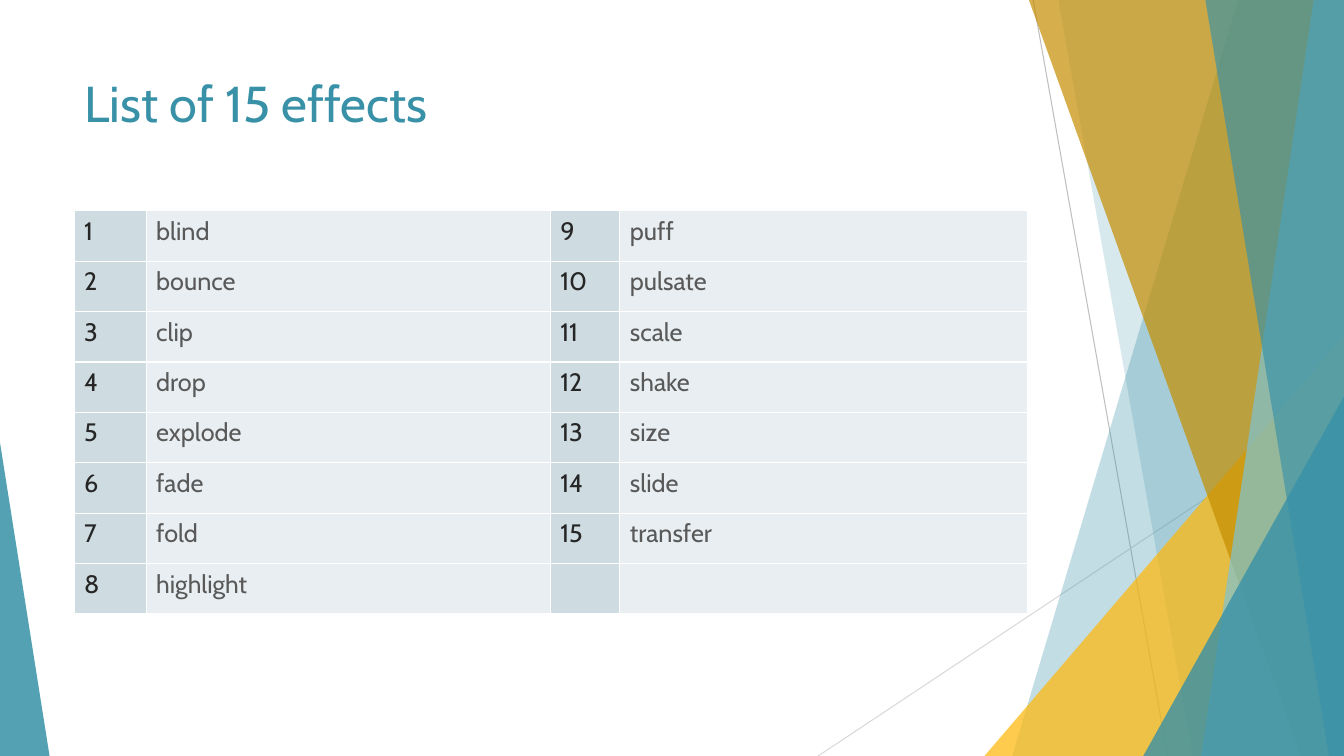
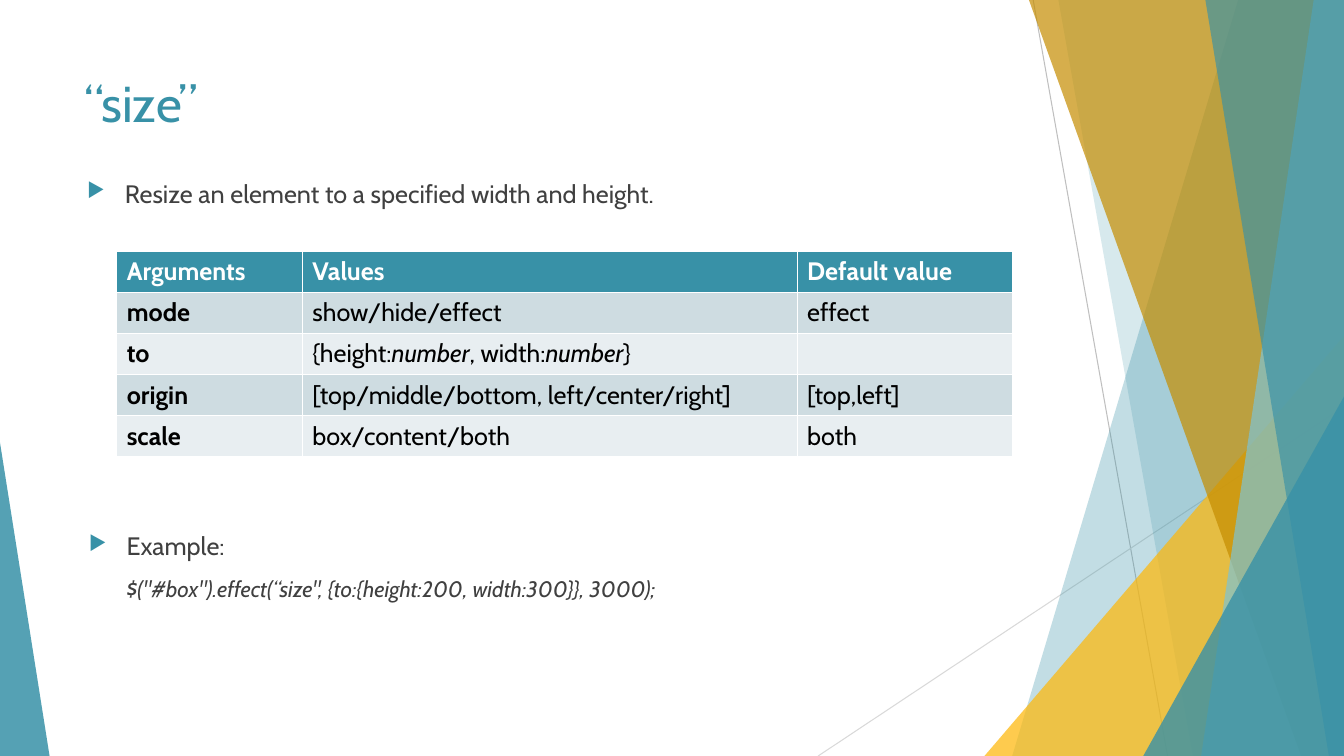
from lxml import etree
from pptx import Presentation, util as u
from pptx.dml.color import RGBColor
from pptx.enum import shapes
from pptx.oxml.ns import qn

# Grid of 1600 columns by 900 rows with square cells
CELL = u.Emu(7620)
COLS, ROWS = 1600, 900
TEAL, SKY, AMBER, OCHRE = "3891A7", "7EC3D4", "FEB80A", "C58D01"
WHITE, BLACK, BODY = "FFFFFF", "000000", "404040"
TINT, PALE = "CEDCE1", "E8EEF1"


def paint(fill, color):
    fill.solid()
    fill.fore_color.rgb = RGBColor.from_string(color)


def write(paragraph, content, size=18, color=BODY, bold=False, italic=False):
    run = paragraph.add_run()
    run.text = content
    run.font.name = "Cabin"
    run.font.size = u.Pt(size)
    run.font.bold = bold
    run.font.italic = italic
    paint(run.font.fill, color)


deck = Presentation()
deck.slide_width, deck.slide_height = COLS * CELL, ROWS * CELL

# Shared backdrop: rays (start, end, colour) and facets (outline, colour, opacity)
# A two-number facet runs from its top corner to its bottom corner on the right edge;
# a four-number facet is a triangle: left, top, width, apex position
rays = [((1230, 0), (1390, ROWS), "BFBFBF"), ((COLS, 484), (974, ROWS), "D9D9D9")]
facets = [
    ((1474, 1205), TEAL, 30),
    ((1260, 1420), TEAL, 20),
    ((1172, 400, 428, 1), AMBER, 72),
    ((1225, 1549), OCHRE, 70),
    ((1564, 1430), SKY, 70),
    ((1435, 1582), TEAL, 65),
    ((1361, 472, 239, 1), TEAL, 80),
    ((0, 527, 59, 0), TEAL, 85),
]

pages = []
for title in ("List of 15 effects", "“size”"):
    page = deck.slides.add_slide(deck.slide_layouts[6])
    pages.append(page)
    for start, end, color in rays:
        ray = page.shapes.add_connector(
            shapes.MSO_CONNECTOR.STRAIGHT, *(n * CELL for n in start + end))
        ray.line.width = u.Pt(0.75)
        paint(ray.line.fill, color)
        etree.SubElement(ray._element.spPr, qn("a:effectLst"))
    for outline, color, opacity in facets:
        if len(outline) == 2:
            top, bottom = outline
            builder = page.shapes.build_freeform(top, 0, scale=CELL)
            builder.add_line_segments([(COLS, 0), (COLS, ROWS), (bottom, ROWS)])
            facet = builder.convert_to_shape()
        else:
            left, top, width, apex = outline
            facet = page.shapes.add_shape(
                shapes.MSO_SHAPE.ISOSCELES_TRIANGLE,
                left * CELL, top * CELL, width * CELL, (ROWS - top) * CELL)
            facet.adjustments[0] = apex
        facet.shadow.inherit = False
        facet.line.fill.background()
        paint(facet.fill, color)
        tone = facet._element.spPr.find(".//" + qn("a:srgbClr"))
        etree.SubElement(tone, qn("a:alpha"), val=str(opacity * 1000))
    heading = page.shapes.add_textbox(89 * CELL, 80 * CELL, 1128 * CELL, 173 * CELL)
    heading.text_frame.word_wrap = True
    write(heading.text_frame.paragraphs[0], title, size=36, color=TEAL)

# Contents of both tables
effects = ["blind", "bounce", "clip", "drop", "explode", "fade", "fold", "highlight",
           "puff", "pulsate", "scale", "shake", "size", "slide", "transfer"]
half = 8
numbered = [(str(n), name) for n, name in enumerate(effects, 1)] + [("", "")]
effect_rows = [numbered[r] + numbered[r + half] for r in range(half)]
# Asterisks enclose the italic words
argument_rows = [
    ("Arguments", "Values", "Default value"),
    ("mode", "show/hide/effect", "effect"),
    ("to", "{height:*number*, width:*number*}", ""),
    ("origin", "[top/middle/bottom, left/center/right]", "[top,left]"),
    ("scale", "box/content/both", "both"),
]

# Page, rows, left, top, column widths, row height, header row
tables = [
    (pages[0], effect_rows, 88, 251, (86, 481, 83, 485), 60, False),
    (pages[1], argument_rows, 139, 299, (221, 589, 257), 49, True),
]
for page, rows, left, top, widths, height, has_header in tables:
    grid = page.shapes.add_table(
        len(rows), len(widths), left * CELL, top * CELL,
        sum(widths) * CELL, len(rows) * height * CELL).table
    grid.first_row, grid.horz_banding = has_header, False
    for column, width in zip(grid.columns, widths):
        column.width = width * CELL
    for r, row in enumerate(rows):
        grid.rows[r].height = height * CELL
        for c, entry in enumerate(row):
            if not has_header:
                fill, ink = ((TINT, "262626"), (PALE, "595959"))[c % 2]
            elif r == 0:
                fill, ink = TEAL, WHITE
            else:
                fill, ink = (PALE, TINT)[r % 2], BLACK
            cell = grid.cell(r, c)
            paint(cell.fill, fill)
            for n, part in enumerate(entry.split("*")):
                if part:
                    write(cell.text_frame.paragraphs[0], part, color=ink,
                          bold=has_header and 0 in (r, c), italic=n % 2 == 1)

# Bulleted description and example around the argument table
indent = 45 * CELL
notes = [
    (92, 206, 60, "Resize an element to a specified width and height.", None),
    (94, 626, 120, "Example:",
     '$("#box").effect(“size", {to:{height:200, width:300}}, 3000);'),
]
for left, top, height, point, code in notes:
    note = pages[1].shapes.add_textbox(
        left * CELL, top * CELL, 1128 * CELL, height * CELL).text_frame
    note.word_wrap = True
    bullet_line = note.paragraphs[0]
    props = bullet_line._p.get_or_add_pPr()
    props.set("marL", str(indent))
    props.set("indent", str(-indent))
    bullet_color = etree.SubElement(props, qn("a:buClr"))
    etree.SubElement(bullet_color, qn("a:srgbClr"), val=TEAL)
    etree.SubElement(props, qn("a:buSzPct"), val="80000")
    etree.SubElement(props, qn("a:buChar"), char="▶")
    write(bullet_line, point)
    if code:
        code_line = note.add_paragraph()
        code_line._p.get_or_add_pPr().set("marL", str(indent))
        code_line.space_before = u.Pt(10)
        write(code_line, code, size=16, italic=True)

deck.save("out.pptx")
